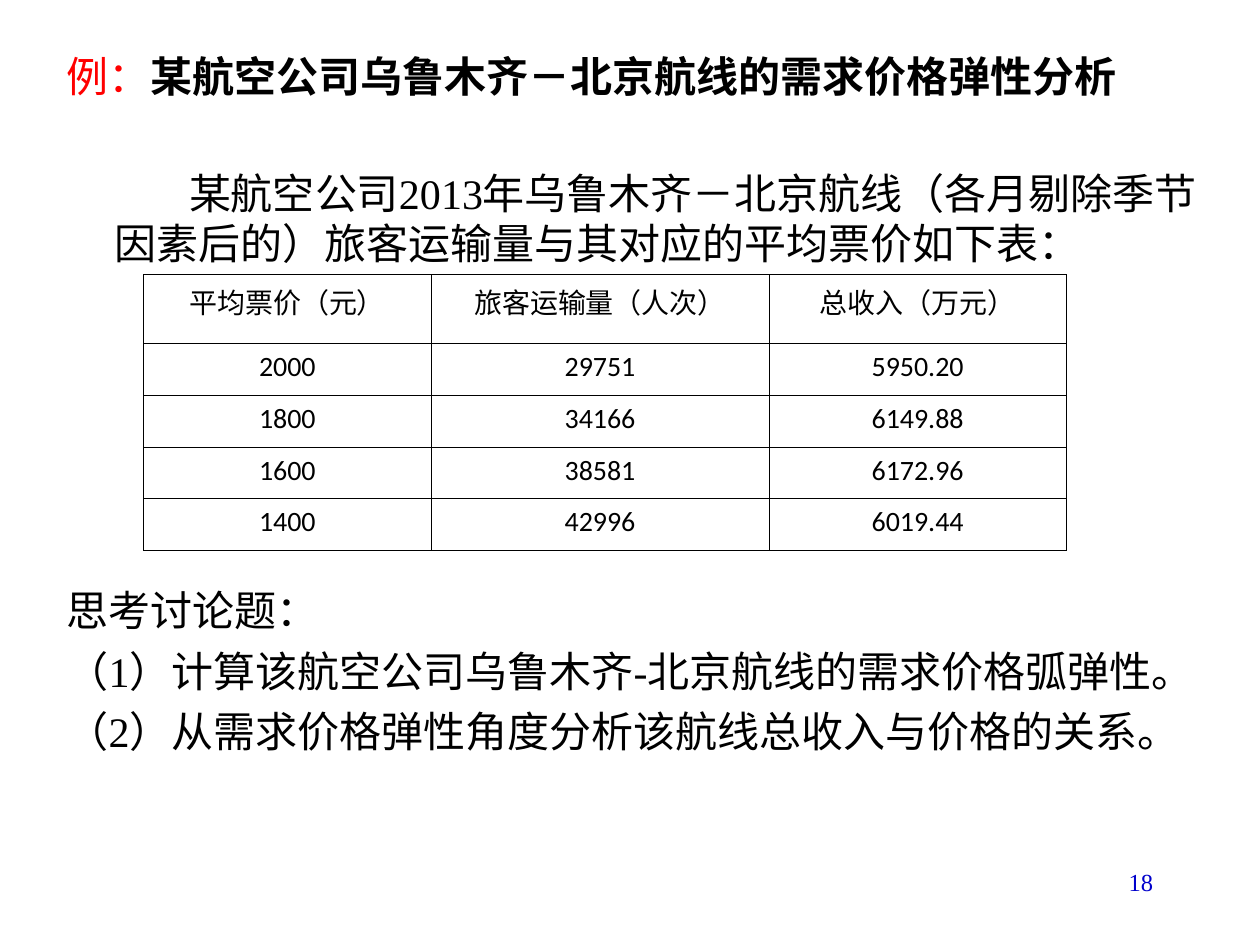
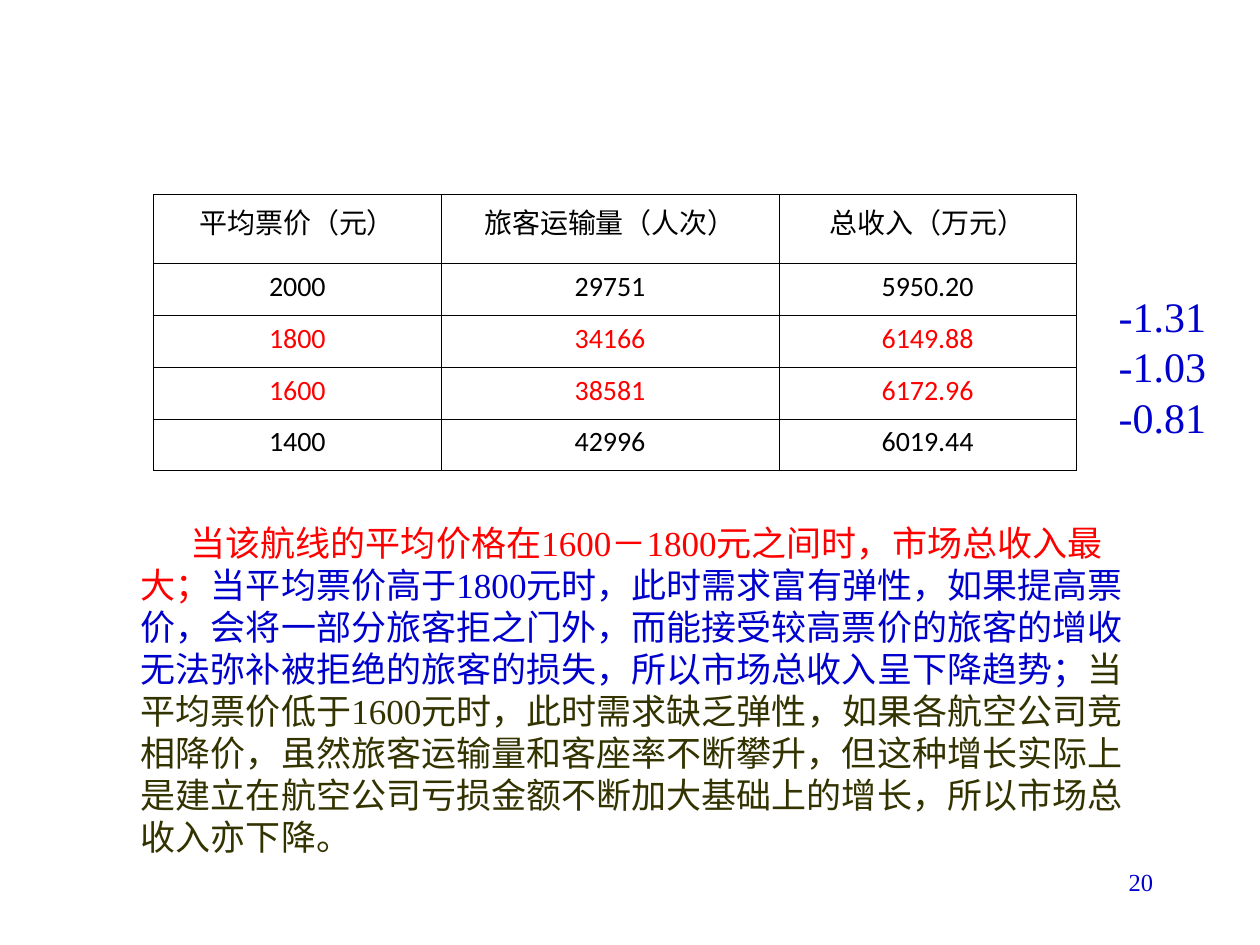
from typing import NamedTuple

from lxml.etree import SubElement
from pptx import Presentation
from pptx.dml.color import RGBColor as Rgb
from pptx.enum.text import PP_ALIGN as Align
from pptx.oxml.ns import qn
from pptx.slide import Slide
from pptx.util import Pt

HUES = {"black": "000000", "red": "FF0000", "blue": "0000CC", "olive": "333300"}
SERIF, SANS, CJK = "Times New Roman", "Calibri", "Noto Sans CJK SC"
LEAD = 1.2  # line pitch as a multiple of the text size

HEADS = ("平均票价（元）", "旅客运输量（人次）", "总收入（万元）")
FARES = (
    ("2000", "29751", "5950.20"),
    ("1800", "34166", "6149.88"),
    ("1600", "38581", "6172.96"),
    ("1400", "42996", "6019.44"),
)
WIDTHS = (164.4, 193, 170)
HEAD_H, ROW_H = 39.4, 29.6


class Box(NamedTuple):
    left: float
    top: float
    width: float
    height: float


class Span(NamedTuple):
    text: str
    hue: str = "black"
    bold: bool = False


class Para(NamedTuple):
    spans: tuple[Span, ...]
    gap: float = 0
    margin: float = 0
    indent: float = 0
    lead: float = LEAD
    align: Align = Align.LEFT


def add_run(para, span: Span, size: float, face: str) -> None:
    run = para.add_run()
    run.text = span.text
    font = run.font
    font.size, font.name, font.bold = Pt(size), face, span.bold
    font.color.rgb = Rgb.from_string(HUES[span.hue])
    SubElement(font._element, qn("a:ea"), typeface=CJK)


def add_text(slide: Slide, box: Box, size: float, paras: list[Para]) -> None:
    frame = slide.shapes.add_textbox(*map(Pt, box)).text_frame
    frame.word_wrap = True
    for i, item in enumerate(paras):
        para = frame.add_paragraph() if i else frame.paragraphs[0]
        para.alignment = item.align
        para.line_spacing = Pt(round(item.lead * size, 1))
        if item.gap:
            para.space_before = Pt(item.gap)
        props = para._p.get_or_add_pPr()
        props.set("marL", str(Pt(item.margin)))
        props.set("indent", str(Pt(item.indent)))
        props.set("hangingPunct", "0")
        for span in item.spans:
            add_run(para, span, size, SERIF)


def frame_cell(cell) -> None:
    """Give the cell thin black borders and no fill."""
    props = cell._tc.get_or_add_tcPr()
    for side in ("lnL", "lnR", "lnT", "lnB"):
        line = SubElement(props, qn(f"a:{side}"), w=str(Pt(0.45)))
        fill = SubElement(line, qn("a:solidFill"))
        SubElement(fill, qn("a:srgbClr"), val=HUES["black"])
    cell.fill.background()


def add_fares(slide: Slide, left: float, top: float,
              marked: tuple[str, ...] = ()) -> None:
    """Draw the fare table, with the rows of the marked prices in red."""
    rows = (HEADS, *FARES)
    box = Box(left, top, sum(WIDTHS), HEAD_H + ROW_H * len(FARES))
    table = slide.shapes.add_table(len(rows), len(HEADS), *map(Pt, box)).table
    table.first_row = table.horz_banding = False
    for col, width in zip(table.columns, WIDTHS):
        col.width = Pt(width)
    for r, row in enumerate(rows):
        table.rows[r].height = Pt(ROW_H if r else HEAD_H)
        hue = "red" if row[0] in marked else "black"
        for c, text in enumerate(row):
            cell = table.cell(r, c)
            frame_cell(cell)
            para = cell.text_frame.paragraphs[0]
            para.alignment = Align.CENTER
            add_run(para, Span(text, hue), 16, SANS if r else CJK)


def add_page(deck, number: int) -> Slide:
    slide = deck.slides.add_slide(deck.slide_layouts[6])
    label = Para((Span(str(number), "blue"),), align=Align.RIGHT)
    add_text(slide, Box(516, 492, 150, 36), 14, [label])
    return slide


def add_case(deck) -> None:
    slide = add_page(deck, 18)
    hang = {"margin": 27.4, "indent": -27.4}
    title = (Span("例：", "red"),
             Span("某航空公司乌鲁木齐－北京航线的需求价格弹性分析", bold=True))
    intro = Span("某航空公司2013年乌鲁木齐－北京航线（各月剔除季节因素后的）"
                 "旅客运输量与其对应的平均票价如下表：")
    tasks = ("（1）计算该航空公司乌鲁木齐-北京航线的需求价格弧弹性。",
             "（2）从需求价格弹性角度分析该航线总收入与价格的关系。")
    add_text(slide, Box(31, 28.2, 669, 459), 24, [
        Para(title, lead=0.9 * LEAD, **hang),
        Para((intro,), gap=38, margin=27.4, indent=42.5),
        Para((Span("思考讨论题："),), gap=180.5, **hang),
        *(Para((Span(task),), gap=6, **hang) for task in tasks),
    ])
    add_fares(slide, 82, 156.9)


def add_answer(deck) -> None:
    slide = add_page(deck, 20)
    spans = (
        Span("当该航线的平均价格在1600－1800元之间时，市场总收入最大；", "red"),
        Span("当平均票价高于1800元时，此时需求富有弹性，如果提高票价，"
             "会将一部分旅客拒之门外，而能接受较高票价的旅客的增收"
             "无法弥补被拒绝的旅客的损失，所以市场总收入呈下降趋势；", "blue"),
        Span("当平均票价低于1600元时，此时需求缺乏弹性，如果各航空公司"
             "竞相降价，虽然旅客运输量和客座率不断攀升，但这种增长实际上是"
             "建立在航空公司亏损金额不断加大基础上的增长，"
             "所以市场总收入亦下降。", "olive"),
    )
    add_text(slide, Box(25.2, 294.4, 623.6, 194), 20,
             [Para(spans, margin=48.2, indent=28.5)])
    add_fares(slide, 87.7, 111.2, marked=("1800", "1600"))
    add_text(slide, Box(632.2, 162.4, 72, 93.6), 24,
             [Para((Span(arc, "blue"),)) for arc in ("-1.31", "-1.03", "-0.81")])


def main() -> None:
    deck = Presentation()
    deck.slide_width, deck.slide_height = Pt(720), Pt(540)
    add_case(deck)
    add_answer(deck)
    deck.save("out.pptx")


if __name__ == "__main__":
    main()
